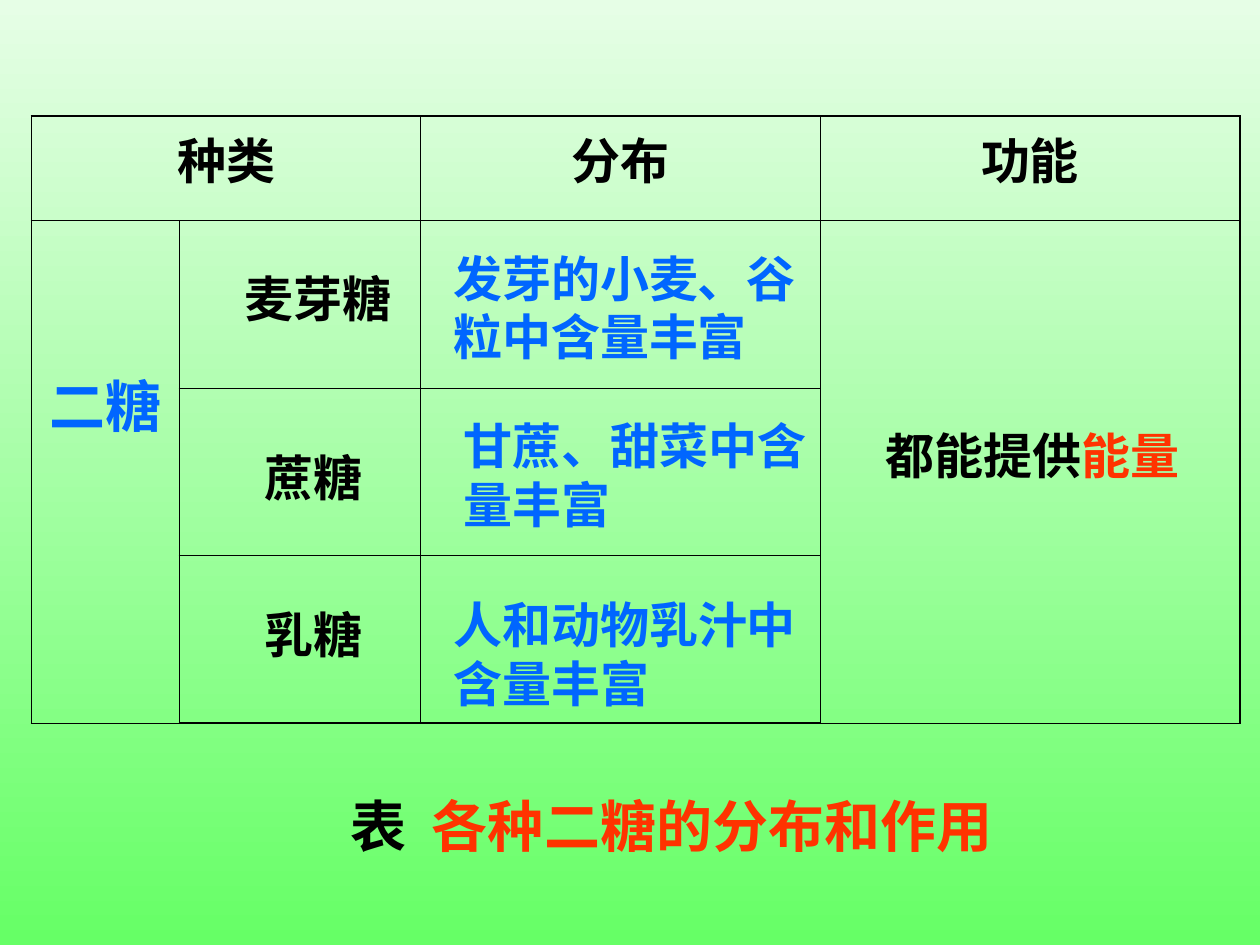
from lxml import etree
from pptx import Presentation
from pptx.dml.color import RGBColor
from pptx.enum.lang import MSO_LANGUAGE_ID
from pptx.enum.text import MSO_ANCHOR, MSO_AUTO_SIZE, PP_ALIGN
from pptx.oxml.ns import qn
from pptx.util import Inches, Pt

CENTER, LEFT = PP_ALIGN.CENTER, PP_ALIGN.LEFT
MIDDLE, TOP = MSO_ANCHOR.MIDDLE, MSO_ANCHOR.TOP
GROW, FIXED = MSO_AUTO_SIZE.SHAPE_TO_FIT_TEXT, MSO_AUTO_SIZE.NONE
CHINESE = MSO_LANGUAGE_ID.SIMPLIFIED_CHINESE
BLACK = RGBColor(0x00, 0x00, 0x00)
BLUE = RGBColor(0x00, 0x66, 0xFF)
RED = RGBColor(0xFF, 0x33, 0x00)
PALE = RGBColor(0xE6, 0xFE, 0xE6)
GREEN = RGBColor(0x66, 0xFF, 0x66)
BODY, TITLE = "Arial", "Noto Sans CJK SC"

# Content
HEADS = {0: "种类", 2: "分布", 3: "功能"}
GROUP = "二糖"
# left, top, width, height, wrap, runs
NOTES = [
    (1.84, 2.08, 1.4, 0.57, False, [("麦芽糖", BLACK)]),
    (2, 3.5, 1, 0.57, False, [("蔗糖", BLACK)]),
    (2, 4.75, 1, 0.57, False, [("乳糖", BLACK)]),
    (3.5, 1.92, 3.1, 1.04, True, [("发芽的小麦、谷粒中含量丰富", BLUE)]),
    (3.58, 3.25, 3.18, 1.04, True, [("甘蔗、甜菜中含量丰富", BLUE)]),
    (3.5, 4.67, 3.18, 1.04, True, [("人和动物乳汁中含量丰富", BLUE)]),
    (6.93, 3.33, 2.53, 0.57, False, [("都能提供", BLACK), ("能量", RED)]),
]
CAPTION = [("表 ", BLACK), (" 各种二糖的分布和作用", RED)]

COLS = [1.17, 1.92, 3.17, 3.33]
ROWS = [0.83, 1.33, 1.33, 1.33]
MERGES = [((0, 0), (0, 1)), ((1, 0), (3, 0)), ((1, 3), (3, 3))]
THICK, THIN = 1.08, 0.45


def write(frame, runs, size=28, face=BODY, align=LEFT):
    para = frame.paragraphs[0]
    para.alignment = align
    for text, color in runs:
        run = para.add_run()
        run.text = text
        form = {"name": face, "size": Pt(size), "bold": True, "language_id": CHINESE}
        for key, value in form.items():
            setattr(run.font, key, value)
        run.font.color.rgb = color
        # East Asian typeface
        etree.SubElement(run.font._element, qn("a:ea"), typeface=face)


def add_text(slide, box, runs, wrap=True, anchor=TOP, fit=GROW, **form):
    frame = slide.shapes.add_textbox(*map(Inches, box)).text_frame
    look = {"word_wrap": wrap, "vertical_anchor": anchor, "auto_size": fit}
    for key, value in look.items():
        setattr(frame, key, value)
    write(frame, runs, **form)


def fill_cell(cell, text, color, top, size=28):
    cell.margin_top = Inches(top)
    write(cell.text_frame, [(text, color)], size=size, align=CENTER)


def add_border(cell, side, width):
    line = etree.SubElement(cell._tc.get_or_add_tcPr(), qn("a:ln" + side),
                            w=str(Pt(width)))
    fill = etree.SubElement(line, qn("a:solidFill"))
    etree.SubElement(fill, qn("a:srgbClr"), val=str(BLACK))


def add_grid(slide):
    box = (0.25, 0.92, sum(COLS), sum(ROWS))
    table = slide.shapes.add_table(len(ROWS), len(COLS), *map(Inches, box)).table
    table.first_row = table.horz_banding = False
    for col, width in zip(table.columns, COLS):
        col.width = Inches(width)
    for row, height in zip(table.rows, ROWS):
        row.height = Inches(height)

    # Thick frame, thin inner lines
    for r in range(len(ROWS)):
        for c in range(len(COLS)):
            cell = table.cell(r, c)
            edges = {"L": c == 0, "R": c == len(COLS) - 1,
                     "T": r == 0, "B": r == len(ROWS) - 1}
            for side, outer in edges.items():
                add_border(cell, side, THICK if outer else THIN)
            cell.fill.background()
    for start, end in MERGES:
        table.cell(*start).merge(table.cell(*end))

    # Headings and group name
    for c, text in HEADS.items():
        fill_cell(table.cell(0, c), text, BLACK, 0.15)
    fill_cell(table.cell(1, 0), GROUP, BLUE, 1.24, size=32)


def main():
    deck = Presentation()
    deck.slide_width, deck.slide_height = Inches(10), Inches(7.5)
    slide = deck.slides.add_slide(deck.slide_layouts[6])

    # Background, pale at the top
    fill = slide.background.fill
    fill.gradient()
    fill.gradient_angle = 270
    for stop, color, place in zip(fill.gradient_stops, (PALE, GREEN), (0, 1)):
        stop.color.rgb = color
        stop.position = place

    # Table, labels over it, caption below
    add_grid(slide)
    for *box, wrap, runs in NOTES:
        add_text(slide, box, runs, wrap)
    add_text(slide, (1.08, 5.92, 8.5, 1.25), CAPTION, anchor=MIDDLE, fit=FIXED,
             size=32, face=TITLE, align=CENTER)
    deck.save("out.pptx")


if __name__ == "__main__":
    main()
